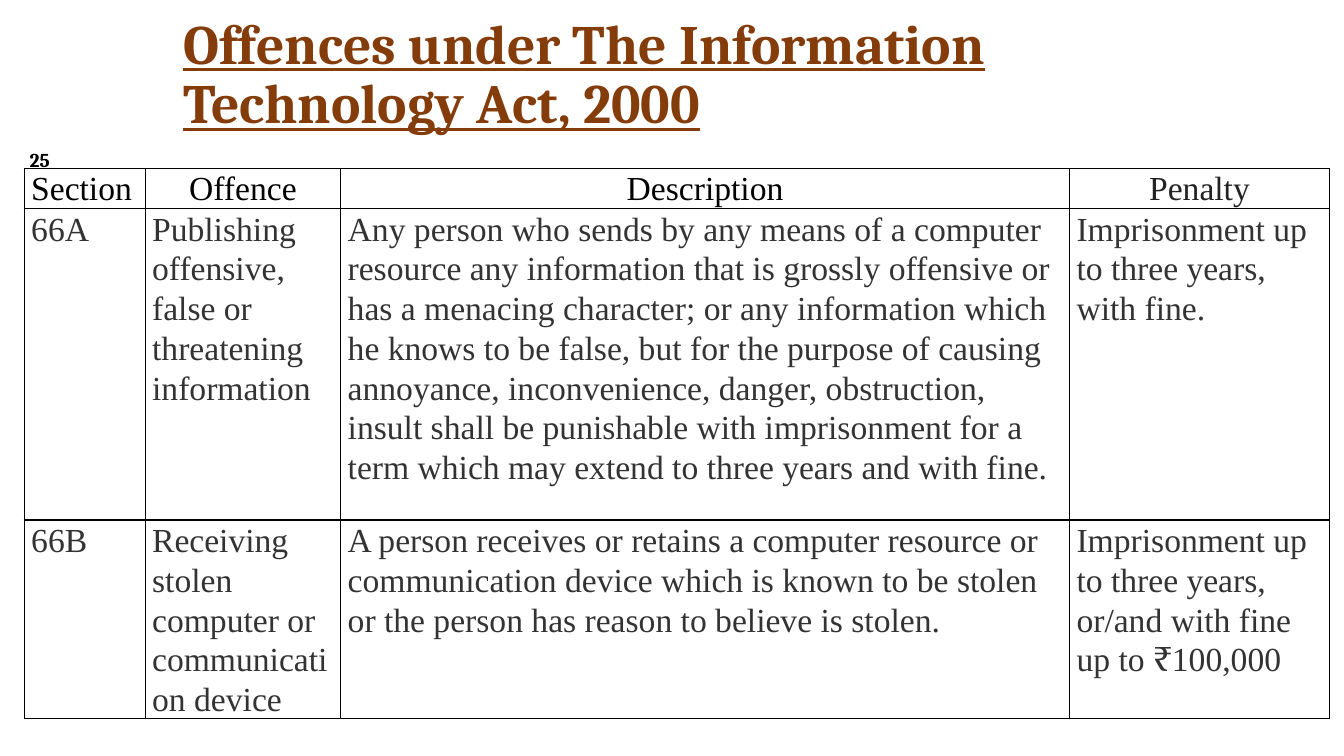
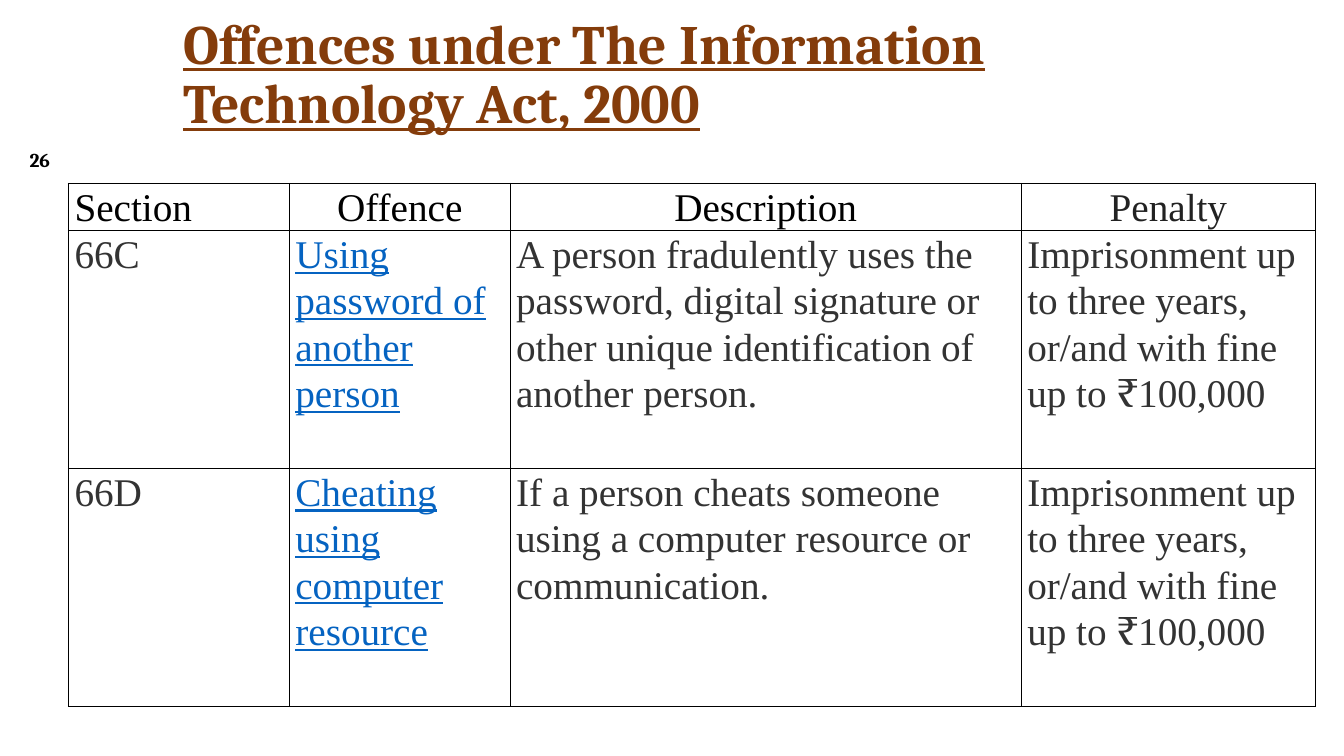
from lxml import etree
from pptx import Presentation
from pptx import util as u
from pptx.dml.color import RGBColor
from pptx.enum import text
from pptx.oxml import ns

BROWN = RGBColor(0x84, 0x3C, 0x0B)
BLACK = RGBColor(0x00, 0x00, 0x00)
INK = RGBColor(0x22, 0x22, 0x22)
GREY = RGBColor(0x33, 0x33, 0x33)
LINK_BLUE = RGBColor(0x05, 0x63, 0xC1)

presentation = Presentation()
presentation.slide_width = u.Inches(13.33)
presentation.slide_height = u.Inches(7.5)
COLUMN = presentation.slide_width / 100
ROW = presentation.slide_height / 100

TITLE = "Offences under The Information Technology Act, 2000"
TITLE_PLACE = {"left": 12.9, "top": 2.8, "width": 73.28, "height": 14.53}
NUMBER_PLACE = (0, 19.33, 5.93, 3.6)
TITLE_FONT = {"name": "Cambria", "size": u.Pt(39.6), "bold": True, "underline": True}
NUMBER_FONT = {"name": "Cambria", "size": u.Pt(14), "bold": True}
FRAME_FORMAT = {"word_wrap": True, "auto_size": text.MSO_AUTO_SIZE.NONE,
                "vertical_anchor": text.MSO_ANCHOR.MIDDLE}
NO_MARGINS = dict.fromkeys(("margin_left", "margin_right", "margin_top", "margin_bottom"), 0)

HEADERS = ("Section", "Offence", "Description", "Penalty")
HEADER_COLORS = (BLACK, BLACK, BLACK, INK)
HEADER_ALIGNMENTS = (text.PP_ALIGN.JUSTIFY,) + (text.PP_ALIGN.CENTER,) * 3
FINE_PENALTY = "Imprisonment up to three years, or/and with fine up to ₹100,000"

PAGES = [
    {"number": 25, "left": 1.8, "top": 22.27, "size": 24, "margin": 0.07,
     "columns": (9, 14.55, 54.23, 19.35), "rows": (5.33, 41.2, 26.27),
     "offence": {"color": GREY},
     "offences": [
         ("66A", "Publishing offensive, false or threatening information",
          "Any person who sends by any means of a computer resource any information "
          "that is grossly offensive or has a menacing character; or any information "
          "which he knows to be false, but for the purpose of causing annoyance, "
          "inconvenience, danger, obstruction, insult shall be punishable with "
          "imprisonment for a term which may extend to three years and with fine.",
          "Imprisonment up to three years, with fine."),
         ("66B", "Receiving stolen computer or communication device",
          "A person receives or retains a computer resource or communication device "
          "which is known to be stolen or the person has reason to believe is stolen.",
          FINE_PENALTY)]},
    {"number": 26, "left": 5.1, "top": 24.27, "size": 28, "margin": 0.06,
     "columns": (16.43, 16.43, 38.03, 21.9), "rows": (6.2, 31.47, 31.47),
     "offence": {"color": LINK_BLUE, "underline": True},
     "offences": [
         ("66C", "Using password of another person",
          "A person fradulently uses the password, digital signature or other unique "
          "identification of another person.", FINE_PENALTY),
         ("66D", "Cheating using computer resource",
          "If a person cheats someone using a computer resource or communication.",
          FINE_PENALTY)]},
]


def write(frame, words, color, font, alignment, spacing):
    paragraph = frame.paragraphs[0]
    paragraph.alignment = alignment
    paragraph.line_spacing = spacing
    run = paragraph.add_run()
    run.text = words
    run.font.color.rgb = color
    for name, value in font.items():
        setattr(run.font, name, value)


def add_borders(cell):
    properties = cell._tc.get_or_add_tcPr()
    for side in ("a:lnL", "a:lnR", "a:lnT", "a:lnB"):
        line = etree.SubElement(properties, ns.qn(side), w=str(u.Pt(1)))
        fill = etree.SubElement(line, ns.qn("a:solidFill"))
        etree.SubElement(fill, ns.qn("a:srgbClr"), val=str(BLACK))


for page in PAGES:
    slide = presentation.slides.add_slide(presentation.slide_layouts[5])
    title = slide.shapes.title
    for name, share in TITLE_PLACE.items():
        setattr(title, name, int(share * (COLUMN if name in ("left", "width") else ROW)))
    for name, value in FRAME_FORMAT.items():
        setattr(title.text_frame, name, value)
    write(title.text_frame, TITLE, BROWN, TITLE_FONT, text.PP_ALIGN.LEFT, 0.9)

    widths = [int(share * COLUMN) for share in page["columns"]]
    heights = [int(share * ROW) for share in page["rows"]]
    table = slide.shapes.add_table(
        len(heights), len(widths), int(page["left"] * COLUMN), int(page["top"] * ROW),
        sum(widths), sum(heights)).table
    table.first_row = table.horz_banding = False
    for column, width in zip(table.columns, widths):
        column.width = width
    for row, height in zip(table.rows, heights):
        row.height = height

    margin = u.Inches(page["margin"])
    cell_format = {**NO_MARGINS, "margin_left": margin, "margin_right": margin}
    for r, entries in enumerate([HEADERS] + page["offences"]):
        for c, words in enumerate(entries):
            cell = table.cell(r, c)
            for name, value in cell_format.items():
                setattr(cell, name, value)
            add_borders(cell)
            cell.fill.background()
            font = {"name": "Times New Roman", "size": u.Pt(page["size"])}
            color, alignment = GREY, text.PP_ALIGN.LEFT
            if r == 0:
                color, alignment = HEADER_COLORS[c], HEADER_ALIGNMENTS[c]
            elif c == 1:
                color = page["offence"]["color"]
                font["underline"] = page["offence"].get("underline")
            write(cell.text_frame, words, color, font, alignment, 1.07)

    left, top, width, height = NUMBER_PLACE
    number = slide.shapes.add_textbox(
        int(left * COLUMN), int(top * ROW), int(width * COLUMN), int(height * ROW))
    for name, value in {**FRAME_FORMAT, **NO_MARGINS}.items():
        setattr(number.text_frame, name, value)
    write(number.text_frame, str(page["number"]), BLACK, NUMBER_FONT, text.PP_ALIGN.CENTER, 1.0)

presentation.save("out.pptx")
